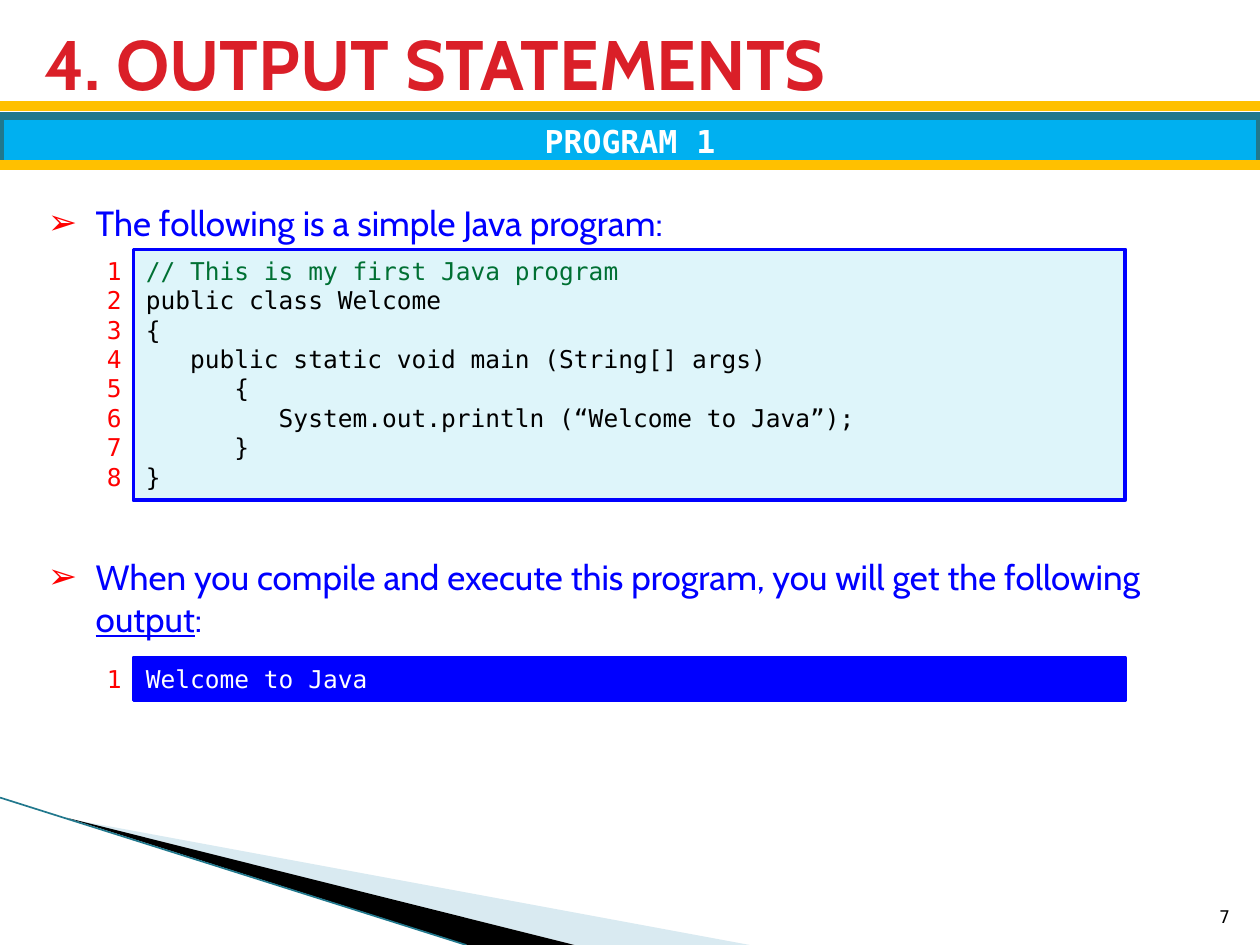
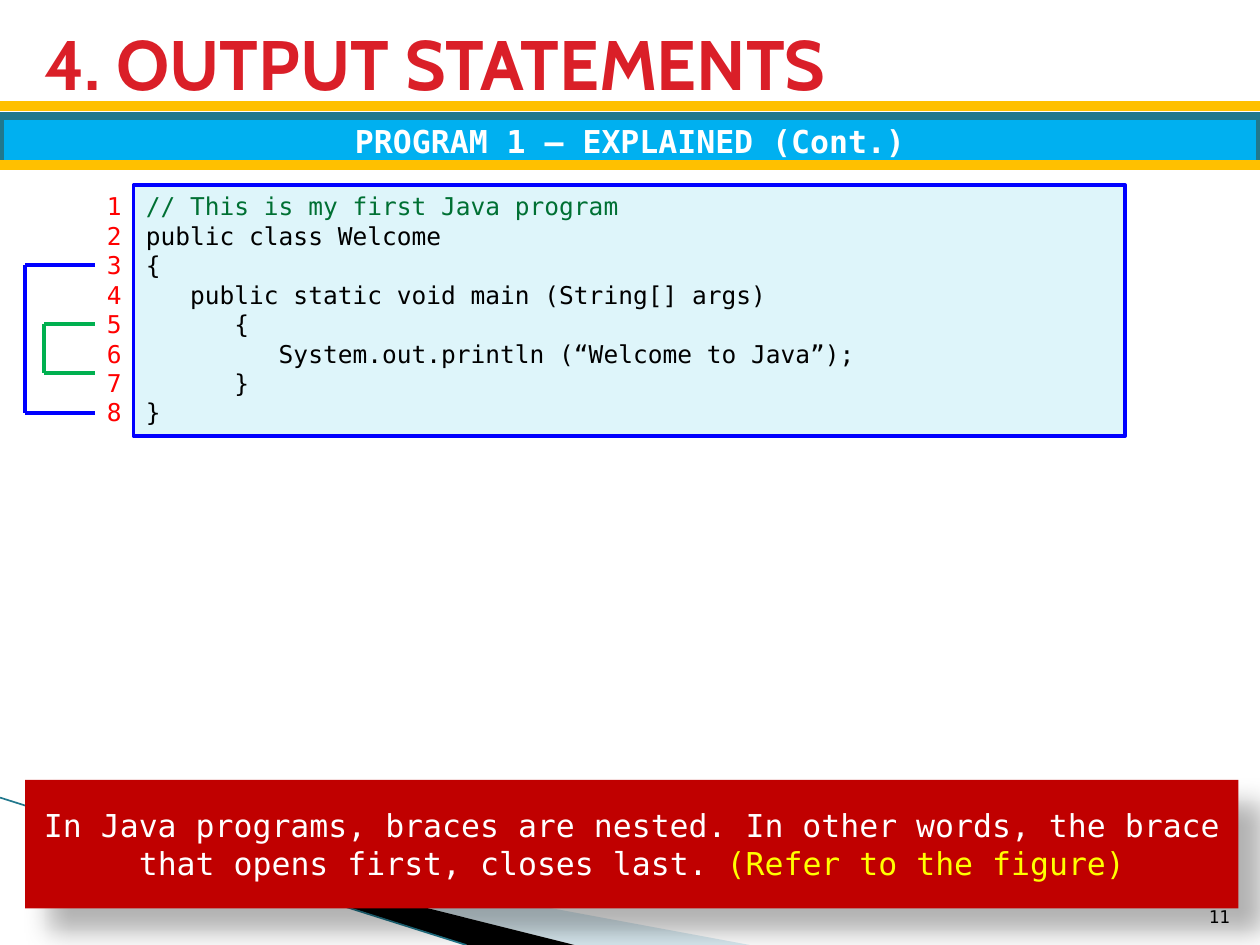
from itertools import pairwise

from lxml.etree import SubElement
from pptx import Presentation
from pptx.dml.color import RGBColor
from pptx.enum.shapes import MSO_CONNECTOR, MSO_SHAPE
from pptx.enum.text import MSO_ANCHOR, MSO_AUTO_SIZE, PP_ALIGN
from pptx.oxml.ns import qn
from pptx.util import Inches, Pt

HUES = {
    "title": "DA1F28", "blue": "0000FF", "red": "FF0000", "gold": "FFC000",
    "sky": "00B0F0", "teal": "21788D", "ice": "DEF5FA", "mist": "A0CBDC",
    "note": "C00000", "moss": "007033", "green": "00B050",
    "yellow": "FFFF00", "white": "FFFFFF", "black": "000000",
}
RGB = {name: RGBColor.from_string(code) for name, code in HUES.items()}
MONO, SANS = "DejaVu Sans Mono", "Cabin"

deck = Presentation()
deck.slide_width, deck.slide_height = Inches(10), Inches(7.5)
# The grid has 100 columns and 75 rows
COL, ROW = deck.slide_width // 100, deck.slide_height // 75


def place(slide, area, fill=None, edge=None, width=2.25):
    """Add a rectangle, or a text box if no fill is given, on grid cells."""
    x, y, w, h = area
    cells = int(x * COL), int(y * ROW), int(w * COL), int(h * ROW)
    if not fill:
        return slide.shapes.add_textbox(*cells)
    shape = slide.shapes.add_shape(MSO_SHAPE.RECTANGLE, *cells)
    shape.shadow.inherit = False
    shape.fill.solid()
    shape.fill.fore_color.rgb = RGB[fill]
    if edge:
        shape.line.color.rgb = RGB[edge]
        shape.line.width = Pt(width)
    else:
        shape.line.fill.background()
    return shape


def write(shape, lines, size, font=MONO, bold=False, lead=None,
          align=PP_ALIGN.LEFT, anchor=MSO_ANCHOR.TOP, bullet=None):
    """Fill a shape with lines, each a list of (text, colour, underline) runs."""
    frame = shape.text_frame
    frame.word_wrap = True
    frame.auto_size = MSO_AUTO_SIZE.NONE
    frame.vertical_anchor = anchor
    for i, runs in enumerate(lines):
        para = frame.add_paragraph() if i else frame.paragraphs[0]
        para.alignment = align
        para.space_before = Pt(0)
        if lead:
            para.line_spacing = Pt(lead)
        if bullet:
            props = para._p.get_or_add_pPr()
            props.set("marL", str(Inches(0.38)))
            props.set("indent", str(-Inches(0.38)))
            tint = SubElement(props, qn("a:buClr"))
            SubElement(tint, qn("a:srgbClr"), val=HUES["red"])
            SubElement(props, qn("a:buChar"), char=bullet)
        for text, hue, *under in runs:
            run = para.add_run()
            run.text = text
            run.font.name, run.font.size = font, Pt(size)
            run.font.bold = bold
            run.font.color.rgb = RGB[hue]
            if under:
                run.font.underline = True


CODE = [
    "// This is my first Java program",
    "public class Welcome",
    "{",
    "   public static void main (String[] args)",
    "      {",
    "         System.out.println (“Welcome to Java”);",
    "      }",
    "}",
]
program = [[(line, "moss" if line.startswith("//") else "black")] for line in CODE]
output = [[("Welcome to Java", "white")]]

wedges = [
    ("mist", 40, [(5.5, 65), (59.5, 75), (45.6, 75)]),
    ("black", 100, [(5.3, 64.9), (45.6, 75), (37.1, 75)]),
]
rules = [
    ("teal", 0.95, [(0, 63.3), (37, 75)]),
    ("gold", 6, [(0, 8.4), (100, 8.4)]),
    ("gold", 6, [(0, 13.1), (100, 13.1)]),
]
braces = [
    ("blue", 2.25, [(7.5, 21), (2, 21), (2, 32.8), (7.5, 32.8)]),
    ("green", 2.25, [(7.5, 25.7), (3.5, 25.7), (3.5, 29.6), (7.5, 29.6)]),
]
points = [
    (15.5, 4.4, [("The following is a simple Java program:", "blue")]),
    (43.6, 7.7, [
        ("When you compile and execute this program, you will get the following ", "blue"),
        ("output", "blue", True),
        (":", "blue"),
    ]),
]
note = [[
    ("In Java programs, braces are nested. In other words, the brace "
     "that opens first, closes last. ", "white"),
    ("(Refer to the figure)", "yellow"),
]]

# Layout, band heading, page, bullets, listings (top, height, fill, lines), braces, notes
pages = [
    (3, "PROGRAM 1", "7", points,
     [(19.8, 19.9, "ice", program), (52.2, 3.4, "blue", output)], [], []),
    (5, "PROGRAM 1 – EXPLAINED (Cont.)", "11", [],
     [(14.7, 19.9, "ice", program)], braces, [note]),
]

for layout, heading, page, bullets, listings, marks, notes in pages:
    slide = deck.slides.add_slide(deck.slide_layouts[layout])
    title, *bodies = slide.placeholders
    title.left, title.top = int(2.5 * COL), int(1.7 * ROW)
    title.width, title.height = int(94.7 * COL), int(6.5 * ROW)
    write(title, [[("4. OUTPUT STATEMENTS", "title")]], 40, SANS, True,
          anchor=MSO_ANCHOR.MIDDLE)

    for body, (top, height, runs) in zip(bodies, bullets):
        body.left, body.top = int(2.8 * COL), int(top * ROW)
        body.width, body.height = int(94.5 * COL), int(height * ROW)
        write(body, [runs], 20, SANS, bullet="➢")

    for hue, alpha, (start, *rest) in wedges:
        pen = slide.shapes.build_freeform(int(start[0] * COL), int(start[1] * ROW))
        pen.add_line_segments([(int(x * COL), int(y * ROW)) for x, y in rest])
        wedge = pen.convert_to_shape()
        wedge.shadow.inherit = False
        wedge.line.fill.background()
        wedge.fill.solid()
        wedge.fill.fore_color.rgb = RGB[hue]
        if alpha < 100:
            tint = wedge._element.spPr.find(".//" + qn("a:srgbClr"))
            SubElement(tint, qn("a:alpha"), val=str(alpha * 1000))

    for top, height, fill, lines in listings:
        write(place(slide, (10.6, top, 78.7, height), fill, "blue"),
              lines, 14, lead=16.8)
        digits = [[(str(n), "red")] for n in range(1, len(lines) + 1)]
        write(place(slide, (7.5, top, 3.2, height)), digits, 14, lead=16.8)

    band = place(slide, (0, 9.2, 100, 3.9), "sky", "teal", 4.33)
    write(band, [[(heading, "white")]], 18, bold=True,
          align=PP_ALIGN.CENTER, anchor=MSO_ANCHOR.MIDDLE)

    for hue, width, stops in rules + marks:
        for (x1, y1), (x2, y2) in pairwise(stops):
            line = slide.shapes.add_connector(
                MSO_CONNECTOR.STRAIGHT, int(x1 * COL), int(y1 * ROW),
                int(x2 * COL), int(y2 * ROW))
            line.line.color.rgb = RGB[hue]
            line.line.width = Pt(width)
            SubElement(line._element.spPr, qn("a:effectLst"))

    for lines in notes:
        panel = place(slide, (2, 61.9, 96.3, 10.2), "note")
        write(panel, lines, 18, lead=21.6,
              align=PP_ALIGN.CENTER, anchor=MSO_ANCHOR.MIDDLE)
        effects = panel._element.spPr.find(qn("a:effectLst"))
        shade = SubElement(effects, qn("a:outerShdw"), blurRad=str(Pt(15)),
                           dist=str(Pt(18)), dir=str(45 * 60000),
                           algn="tl", rotWithShape="0")
        tint = SubElement(shade, qn("a:srgbClr"), val=HUES["black"])
        SubElement(tint, qn("a:alpha"), val="30000")

    write(place(slide, (94.6, 70.1, 4, 4)), [[(page, "black")]], 10,
          align=PP_ALIGN.RIGHT, anchor=MSO_ANCHOR.BOTTOM)

deck.save("out.pptx")
